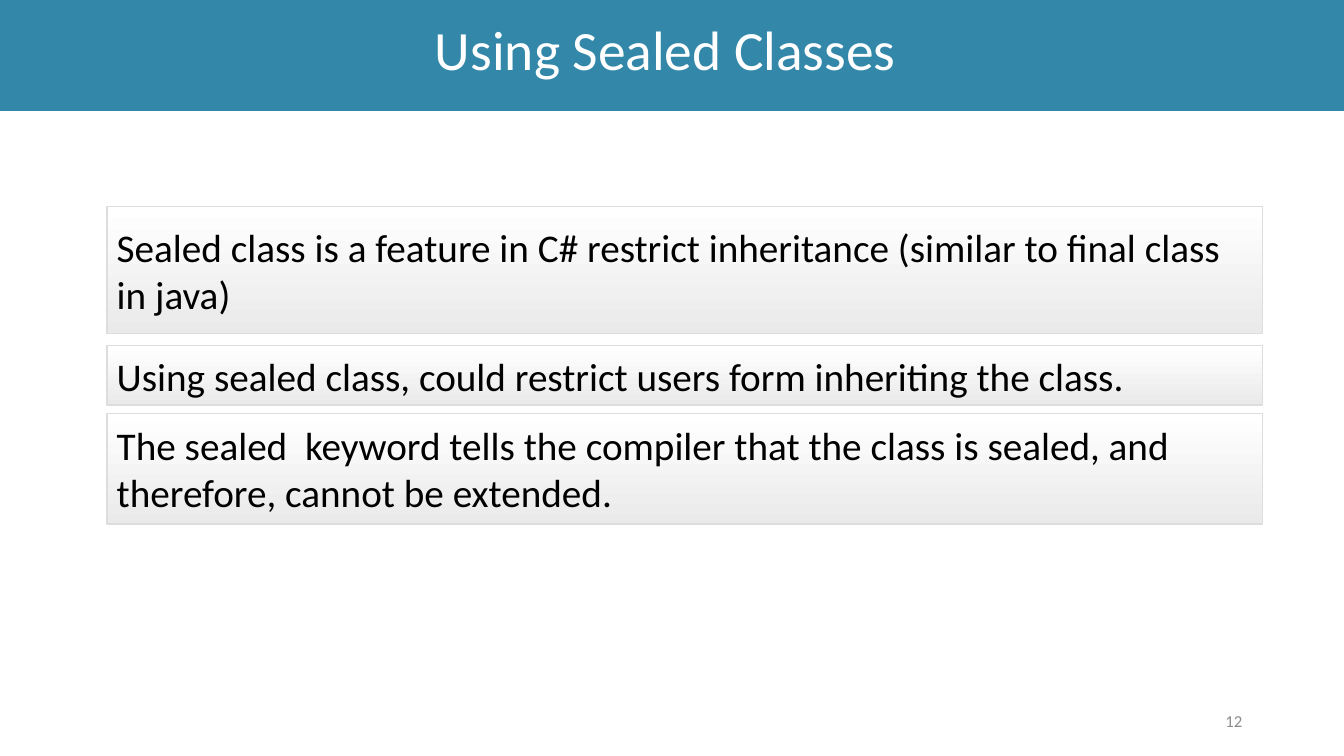
from pptx import Presentation
from pptx.dml.color import RGBColor
from pptx.enum.shapes import MSO_SHAPE
from pptx.enum.text import MSO_ANCHOR, MSO_AUTO_SIZE, PP_ALIGN
from pptx.util import Inches, Pt

# Content
TITLE = "Using Sealed Classes"
PAGE_NUMBER = "12"
# text, top and height in inches
STATEMENTS = [
    ("Sealed class is a feature in C# restrict inheritance (similar to final class in java)", 2.05, 1.26),
    ("Using sealed class, could restrict users form inheriting the class.", 3.43, 0.59),
    ("The sealed  keyword tells the compiler that the class is sealed, and therefore, cannot be extended.", 4.1, 1.1),
]

# Style
FONT = "Calibri"
BLUE = RGBColor(0x33, 0x88, 0xA9)
WHITE = RGBColor(0xFF, 0xFF, 0xFF)
BLACK = RGBColor(0, 0, 0)
GREY = RGBColor(0x8C, 0x8C, 0x8C)
PALE = RGBColor(0xEA, 0xEA, 0xEA)
BORDER = RGBColor(0xDD, 0xDD, 0xDD)
RECTANGLE = MSO_SHAPE.RECTANGLE
MIDDLE = MSO_ANCHOR.MIDDLE
NO_AUTOFIT = MSO_AUTO_SIZE.NONE
LEFT, CENTER, RIGHT = PP_ALIGN.LEFT, PP_ALIGN.CENTER, PP_ALIGN.RIGHT

# Layout in inches
WIDTH, HEIGHT = 13.33, 7.5
BOX_LEFT, BOX_WIDTH = 1.06, 11.46


def place(shape, left, top, width, height):
    shape.left, shape.top = Inches(left), Inches(top)
    shape.width, shape.height = Inches(width), Inches(height)


def write(shape, text, size, color, align):
    frame = shape.text_frame
    frame.text = text
    frame.word_wrap = True
    frame.auto_size = NO_AUTOFIT
    frame.vertical_anchor = MIDDLE
    para = frame.paragraphs[0]
    para.alignment = align
    font = para.runs[0].font
    font.name, font.size = FONT, Pt(size)
    font.color.rgb = color


def add_statement(page, text, top, height):
    box = page.shapes.add_shape(RECTANGLE, 0, 0, 0, 0)
    place(box, BOX_LEFT, top, BOX_WIDTH, height)
    box.shadow.inherit = False
    box.fill.gradient()
    box.fill.gradient_angle = 270
    for stop, color in zip(box.fill.gradient_stops, (WHITE, PALE)):
        stop.color.rgb = color
    box.line.color.rgb = BORDER
    box.line.width = Pt(1)
    write(box, text, 28, BLACK, LEFT)


def main():
    deck = Presentation()
    deck.slide_width, deck.slide_height = Inches(WIDTH), Inches(HEIGHT)
    page = deck.slides.add_slide(deck.slide_layouts[5])

    # Title band
    title = page.shapes.title
    place(title, 0, 0, WIDTH, 1.1)
    title.fill.solid()
    title.fill.fore_color.rgb = BLUE
    write(title, TITLE, 39.6, WHITE, CENTER)
    title.text_frame.paragraphs[0].line_spacing = 0.9
    title.text_frame.margin_right = Inches(0.23)
    title.text_frame.margin_bottom = Inches(0.1)

    # Statements
    for text, top, height in STATEMENTS:
        add_statement(page, text, top, height)

    # Page number
    number = page.shapes.add_textbox(0, 0, 0, 0)
    place(number, 9.42, 6.95, 3, 0.4)
    write(number, PAGE_NUMBER, 12, GREY, RIGHT)

    deck.save("out.pptx")


if __name__ == "__main__":
    main()
